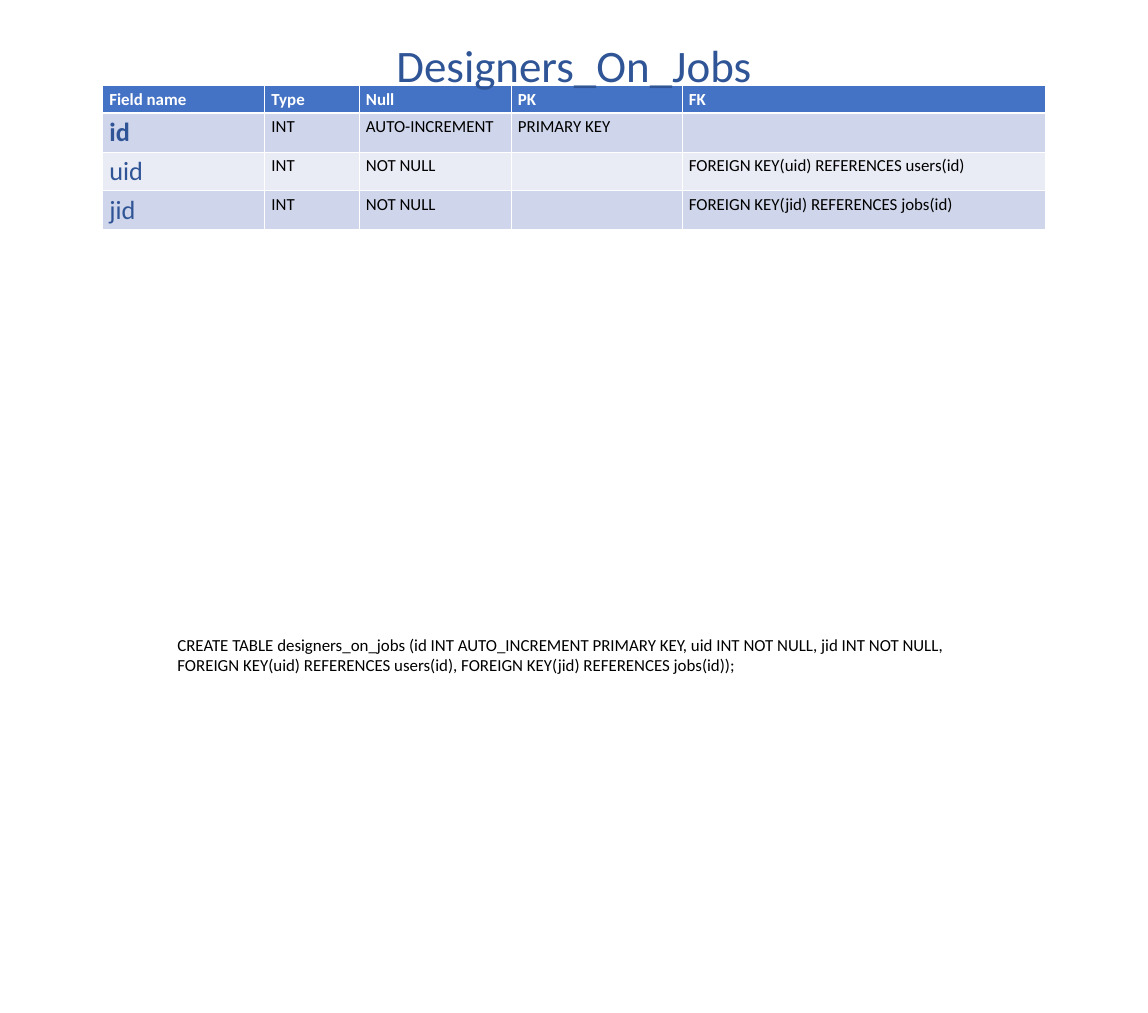
"""Build a slide that describes the Designers_On_Jobs table."""
from lxml.etree import SubElement as Sub
from pptx import Presentation
from pptx.dml.color import RGBColor as RGB
from pptx.enum.text import PP_ALIGN as Align
from pptx.oxml.ns import qn
from pptx.util import Pt

TITLE = "Designers_On_Jobs"
ROWS = [
    ("Field name", "Type", "Null", "PK", "FK"),
    ("id", "INT", "AUTO-INCREMENT", "PRIMARY KEY", ""),
    ("uid", "INT", "NOT NULL", "", "FOREIGN KEY(uid) REFERENCES users(id)"),
    ("jid", "INT", "NOT NULL", "", "FOREIGN KEY(jid) REFERENCES jobs(id)"),
]
QUERY = (
    "CREATE TABLE designers_on_jobs (id INT AUTO_INCREMENT PRIMARY KEY, "
    "uid INT NOT NULL, jid INT NOT NULL, FOREIGN KEY(uid) REFERENCES users(id), "
    "FOREIGN KEY(jid) REFERENCES jobs(id));"
)
WIDTHS = (172.8, 100.8, 162, 182.2, 387.4)
HEAD_H, ROW_H = 29.2, 41.4

WHITE = RGB(0xFF, 0xFF, 0xFF)
BLACK = RGB(0, 0, 0)
NAVY = RGB(0x2F, 0x55, 0x97)
BLUE = RGB(0x44, 0x72, 0xC4)
BANDS = (RGB(0xE9, 0xEB, 0xF5), RGB(0xCF, 0xD5, 0xEA))


def write(frame, text, size=18, color=BLACK, bold=False, align=Align.LEFT):
    frame.word_wrap = True
    para = frame.paragraphs[0]
    para.alignment = align
    para.font.size = Pt(size)
    if text:
        run = para.add_run()
        run.text = text
        font = run.font
        font.name, font.size, font.bold = "Calibri", Pt(size), bold
        font.color.rgb = color


def edge(cell, side, width):
    line = Sub(cell._tc.get_or_add_tcPr(), qn(f"a:ln{side}"), w=str(Pt(width)))
    Sub(Sub(line, qn("a:solidFill")), qn("a:srgbClr"), val=str(WHITE))


def add_grid(slide):
    high = HEAD_H + ROW_H * (len(ROWS) - 1)
    grid = slide.shapes.add_table(
        len(ROWS), len(WIDTHS), Pt(109.4), Pt(91.4), Pt(sum(WIDTHS)), Pt(high)
    ).table
    for col, width in zip(grid.columns, WIDTHS):
        col.width = Pt(width)
    for r, row in enumerate(ROWS):
        grid.rows[r].height = Pt(ROW_H if r else HEAD_H)
        for c, text in enumerate(row):
            cell = grid.cell(r, c)
            for side in "LRTB":
                thick = (r, side) in ((0, "B"), (1, "T"))
                edge(cell, side, 3 if thick else 1)
            cell.fill.solid()
            cell.fill.fore_color.rgb = BANDS[r % 2] if r else BLUE
            if r == 0:
                style = dict(color=WHITE, bold=True)
            elif c == 0:
                style = dict(size=28, color=NAVY, bold=r == 1)
            else:
                style = {}
            write(cell.text_frame, text, **style)


def add_text(slide, box, text, **style):
    shape = slide.shapes.add_textbox(*map(Pt, box))
    write(shape.text_frame, text, **style)


def main():
    deck = Presentation()
    deck.slide_width, deck.slide_height = Pt(1224), Pt(1080)
    slide = deck.slides.add_slide(deck.slide_layouts[6])
    add_grid(slide)
    add_text(slide, (408, 36, 408, 65.5), TITLE,
             size=48, color=NAVY, align=Align.CENTER)
    add_text(slide, (182, 673.2, 853.2, 51), QUERY)
    deck.save("out.pptx")


if __name__ == "__main__":
    main()
